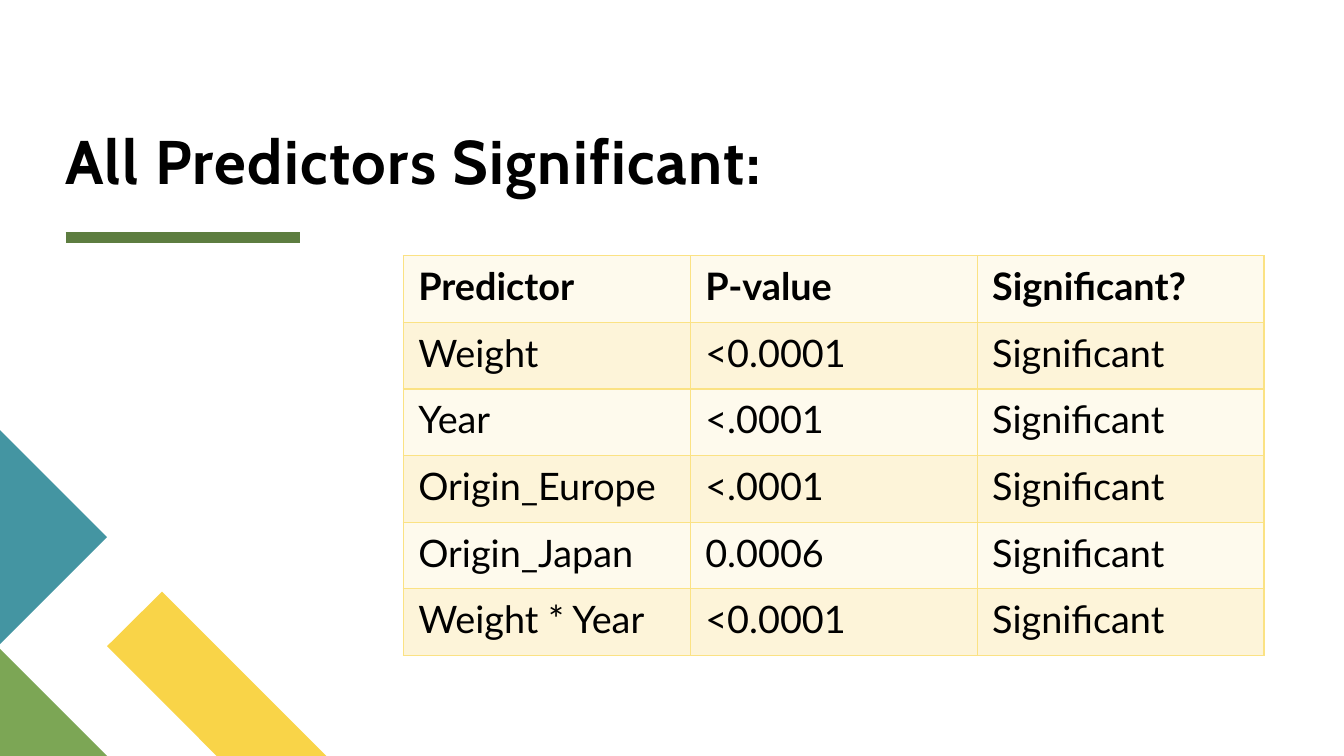
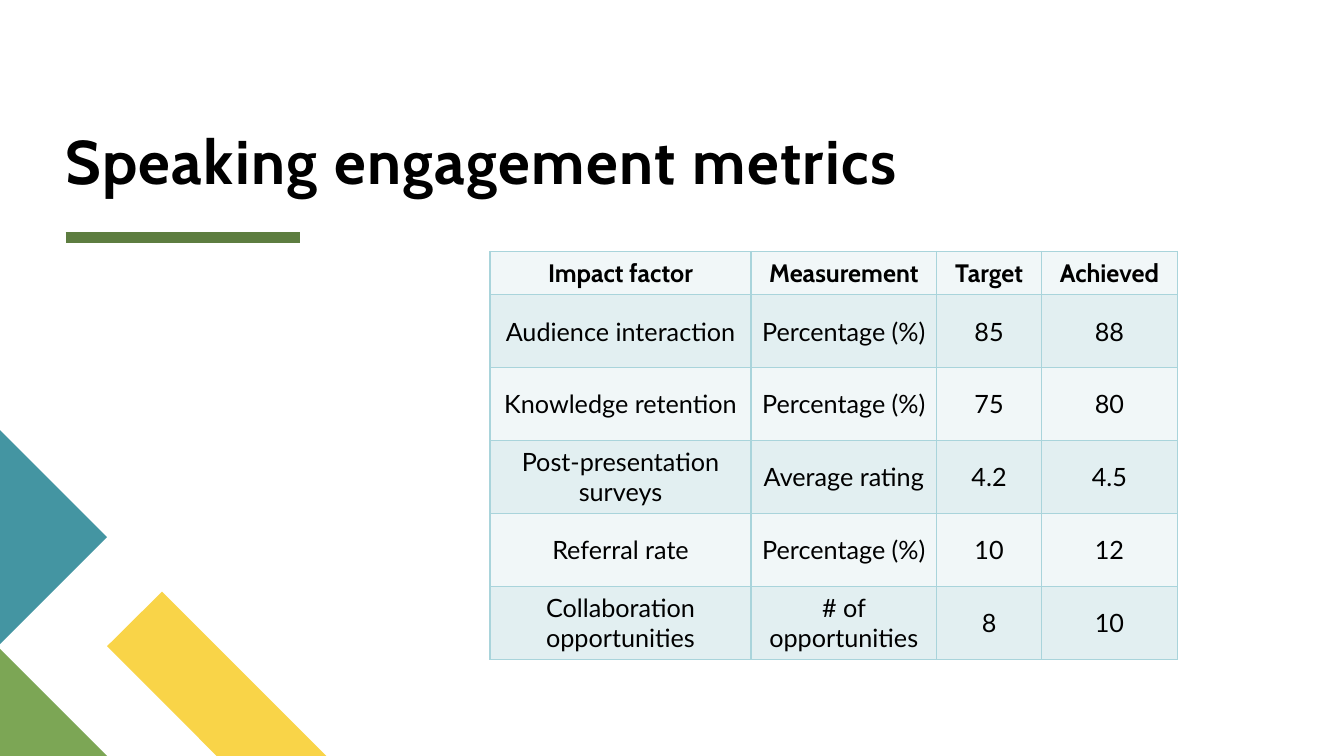
from dataclasses import dataclass

from lxml.etree import SubElement
from pptx import Presentation
from pptx.dml.color import RGBColor
from pptx.enum.shapes import MSO_CONNECTOR as Connector
from pptx.enum.text import MSO_ANCHOR as Anchor, MSO_AUTO_SIZE as AutoSize, PP_ALIGN as Align
from pptx.oxml.ns import qn
from pptx.slide import Slide
from pptx.table import _Cell as Cell
from pptx.util import Pt

COLORS = {
    "text": "000000", "rule": "5D7D40",
    "yellow": "F9D448", "green": "7CA655", "teal": "4495A2",
    "cream": "FEFAED", "sand": "FDF4D9", "gold": "FBE284",
    "mist": "F1F7F8", "ice": "E2EFF1", "aqua": "A9D4DB",
}
HEADING, BODY = "Cabin", "Lato"
TITLE_ONLY = 5


@dataclass(frozen=True)
class Band:
    color: str
    points: tuple[tuple[float, float], ...]


@dataclass(frozen=True)
class TableStyle:
    fills: tuple[str, str]
    border: str
    size: float
    header_font: str
    align: Align
    anchor: Anchor
    margins: tuple[float, float]


@dataclass(frozen=True)
class TablePage:
    title: str
    left: float
    top: float
    columns: tuple[float, ...]
    heights: tuple[float, ...]
    style: TableStyle
    rows: tuple[tuple[str, ...], ...]


BANDS = (
    Band("yellow", ((233.2, 540), (154.8, 540), (76.5, 461.6), (115.8, 422.6))),
    Band("green", ((76.5, 540), (0, 540), (0, 463.5))),
    Band("teal", ((0, 307.2), (76.5, 383.7), (0, 460.2))),
)
WARM = TableStyle(("cream", "sand"), "gold", 27, BODY, Align.LEFT, Anchor.TOP, (10.8, 5.4))
COOL = TableStyle(("mist", "ice"), "aqua", 18, HEADING, Align.CENTER, Anchor.MIDDLE, (7.2, 3.6))

PAGES = (
    TablePage(
        "All Predictors Significant:", 288, 182.6, (205,) * 3, (47.6,) * 6, WARM,
        (
            ("Predictor", "P-value", "Significant?"),
            ("Weight", "<0.0001", "Significant"),
            ("Year", "<.0001", "Significant"),
            ("Origin_Europe", "<.0001", "Significant"),
            ("Origin_Japan", "0.0006", "Significant"),
            ("Weight * Year", "<0.0001", "Significant"),
        ),
    ),
    TablePage(
        "Speaking engagement metrics", 350, 179.7, (186.5, 132.5, 75, 97),
        (30.9,) + (52.1,) * 5, COOL,
        (
            ("Impact factor", "Measurement", "Target", "Achieved"),
            ("Audience interaction", "Percentage (%)", "85", "88"),
            ("Knowledge retention", "Percentage (%)", "75", "80"),
            ("Post-presentation surveys", "Average rating", "4.2", "4.5"),
            ("Referral rate", "Percentage (%)", "10", "12"),
            ("Collaboration opportunities", "# of opportunities", "8", "10"),
        ),
    ),
)


def rgb(name: str) -> RGBColor:
    return RGBColor.from_string(COLORS[name])


def set_all(target: object, values: dict) -> None:
    for name, value in values.items():
        setattr(target, name, value)


def add_span(para, text: str, font: str, size: float, bold: bool):
    span = para.add_run()
    span.text = text
    set_all(span.font, {"name": font, "size": Pt(size), "bold": bold})
    span.font.color.rgb = rgb("text")
    return span


# Shared decoration: title rule and corner bands
def add_decoration(page: Slide) -> None:
    rule = page.shapes.add_connector(Connector.STRAIGHT, Pt(46.8), Pt(169.4), Pt(214.6), Pt(169.4))
    rule.line.width = Pt(8)
    rule.line.color.rgb = rgb("rule")
    SubElement(rule._element.spPr, qn("a:effectLst"))
    for band in BANDS:
        start, *others = [(Pt(x), Pt(y)) for x, y in band.points]
        builder = page.shapes.build_freeform(*start)
        builder.add_line_segments(others, close=True)
        shape = builder.convert_to_shape()
        shape.shadow.inherit = False
        shape.fill.solid()
        shape.fill.fore_color.rgb = rgb(band.color)
        shape.line.fill.background()


def add_title(page: Slide, text: str) -> None:
    title = page.shapes.title
    set_all(title, {"left": Pt(46.8), "top": Pt(7.9), "width": Pt(856), "height": Pt(132.5)})
    frame = title.text_frame
    set_all(frame, {
        "margin_left": 0, "margin_right": 0, "margin_top": 0, "margin_bottom": 0,
        "vertical_anchor": Anchor.BOTTOM, "word_wrap": True, "auto_size": AutoSize.NONE,
    })
    para = frame.paragraphs[0]
    set_all(para, {"alignment": Align.LEFT, "line_spacing": 0.8})
    span = add_span(para, text, HEADING, 44, True)
    span.font._element.set("spc", "100")


# Tables
def add_borders(cell: Cell, color: str) -> None:
    properties = cell._tc.get_or_add_tcPr()
    for index, side in enumerate(("lnL", "lnR", "lnT", "lnB")):
        line = properties.makeelement(qn(f"a:{side}"), {"w": str(Pt(1))})
        fill = SubElement(line, qn("a:solidFill"))
        SubElement(fill, qn("a:srgbClr"), val=COLORS[color])
        properties.insert(index, line)


def fill_cell(cell: Cell, text: str, row: int, style: TableStyle) -> None:
    across, down = style.margins
    set_all(cell, {
        "margin_left": Pt(across), "margin_right": Pt(across),
        "margin_top": Pt(down), "margin_bottom": Pt(down),
        "vertical_anchor": style.anchor,
    })
    cell.fill.solid()
    cell.fill.fore_color.rgb = rgb(style.fills[row % 2])
    add_borders(cell, style.border)
    para = cell.text_frame.paragraphs[0]
    para.alignment = style.align
    header = row == 0
    add_span(para, text, style.header_font if header else BODY, style.size, header)


def add_table(page: Slide, content: TablePage) -> None:
    table = page.shapes.add_table(
        len(content.rows), len(content.columns), Pt(content.left), Pt(content.top),
        Pt(sum(content.columns)), Pt(sum(content.heights)),
    ).table
    set_all(table, {"first_row": False, "horz_banding": False})
    for column, width in zip(table.columns, content.columns):
        column.width = Pt(width)
    for row, height in zip(table.rows, content.heights):
        row.height = Pt(height)
    for row, texts in enumerate(content.rows):
        for column, text in enumerate(texts):
            fill_cell(table.cell(row, column), text, row, content.style)


def main() -> None:
    deck = Presentation()
    set_all(deck, {"slide_width": Pt(960), "slide_height": Pt(540)})
    for content in PAGES:
        page = deck.slides.add_slide(deck.slide_layouts[TITLE_ONLY])
        add_decoration(page)
        add_title(page, content.title)
        add_table(page, content)
    deck.save("out.pptx")


if __name__ == "__main__":
    main()
